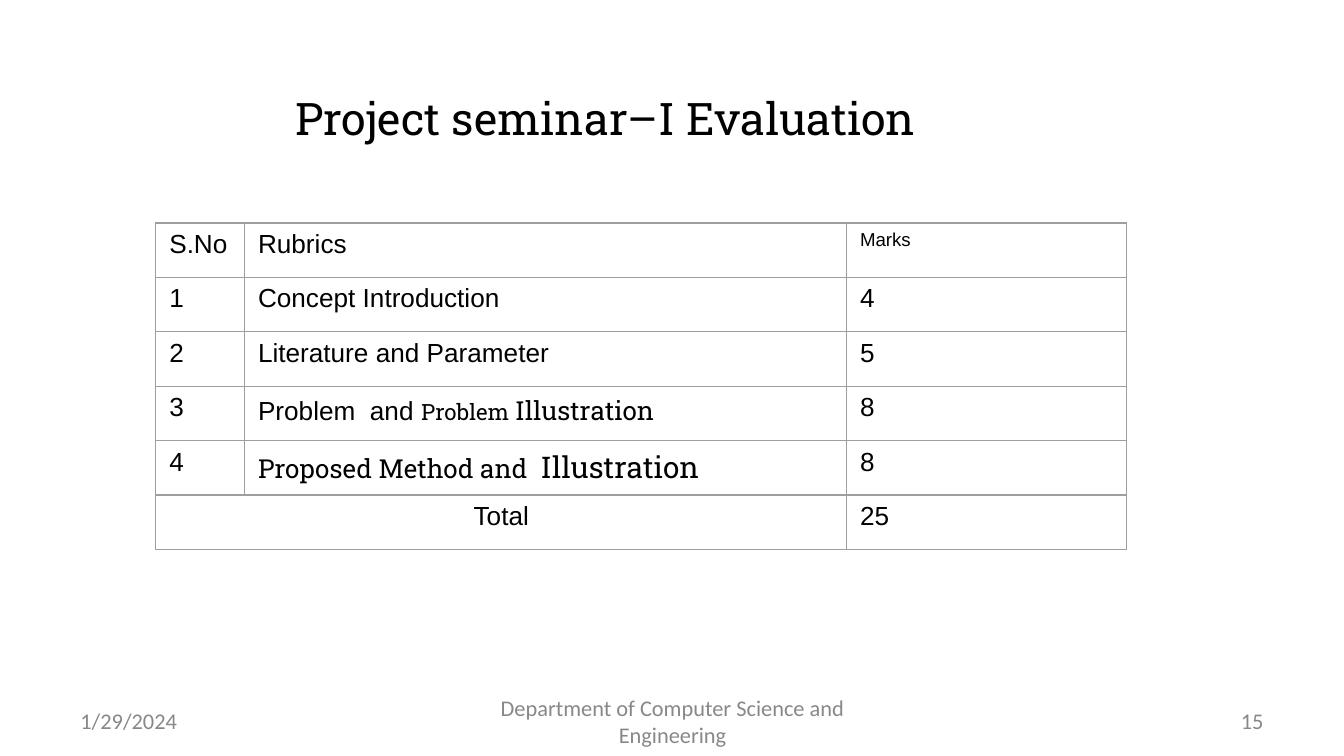
from lxml import etree
from pptx import Presentation
from pptx.dml.color import RGBColor
from pptx.enum.text import MSO_ANCHOR, PP_ALIGN as Align
from pptx.oxml.ns import qn
from pptx.util import Inches, Pt

COLORS = {"text": "000000", "footer": "888888", "border": "9E9E9E"}
SANS, SLAB, FOOTER_FONT = "Arial", "Roboto Slab", "Calibri"


def write_runs(frame, runs, color, align=Align.LEFT):
    """Fill the first paragraph with (text, size, font) runs."""
    paragraph = frame.paragraphs[0]
    paragraph.alignment = align
    for text, size, font in runs:
        run = paragraph.add_run()
        run.text = text
        run.font.size = Pt(size)
        run.font.name = font
        run.font.color.rgb = RGBColor.from_string(COLORS[color])


def add_borders(cell):
    """Draw a thin line on all four sides of a cell."""
    properties = cell._tc.get_or_add_tcPr()
    for index, side in enumerate(("lnL", "lnR", "lnT", "lnB")):
        line = etree.Element(qn(f"a:{side}"), w=str(Pt(0.75)))
        fill = etree.SubElement(line, qn("a:solidFill"))
        etree.SubElement(fill, qn("a:srgbClr"), val=COLORS["border"])
        properties.insert(index, line)


# Widescreen 16:9 slide
presentation = Presentation()
presentation.slide_width = Inches(10)
presentation.slide_height = Inches(10) * 9 // 16
slide = presentation.slides.add_slide(presentation.slide_layouts[5])

# Title
title = slide.shapes.title
title.left, title.top = Inches(1.16), Inches(0.53)
title.width, title.height = Inches(6.69), Inches(0.69)
title.text_frame.vertical_anchor = MSO_ANCHOR.MIDDLE
write_runs(title.text_frame, [("Project seminar–I Evaluation", 24, SLAB)],
           "text", Align.CENTER)

# Rubrics table: a plain string is one 14 pt sans run
rows = [
    ["S.No", "Rubrics", [("Marks", 10, SANS)]],
    ["1", "Concept Introduction", "4"],
    ["2", "Literature and Parameter", "5"],
    ["3", [("Problem  and ", 14, SANS), ("Problem ", 12, SLAB),
           ("Illustration", 14, SLAB)], "8"],
    ["4", [("Proposed Method and  ", 14, SLAB),
           ("Illustration", 16, SLAB)], "8"],
    ["Total", None, "25"],
]
column_widths = [0.66, 4.48, 2.08]
table = slide.shapes.add_table(len(rows), len(column_widths), Inches(1.16), Inches(1.66),
                               Inches(7.22), Inches(2.43)).table
table.first_row = table.horz_banding = False
for column, width in zip(table.columns, column_widths):
    column.width = Inches(width)
total_row = len(rows) - 1
table.cell(total_row, 0).merge(table.cell(total_row, 1))

for row_index, row in enumerate(rows):
    for column_index, content in enumerate(row):
        cell = table.cell(row_index, column_index)
        cell.fill.background()
        add_borders(cell)
        if content is None:
            continue
        runs = [(content, 14, SANS)] if isinstance(content, str) else content
        align = Align.CENTER if content == "Total" else Align.LEFT
        write_runs(cell.text_frame, runs, "text", align)

# Footer: date, department, slide number
footer_top = presentation.slide_height - Inches(0.41)
footers = [
    ("1/29/2024", 0.5, 2.33, Align.LEFT),
    ("Department of Computer Science and Engineering", 3.42, 3.17, Align.CENTER),
    ("15", 7.17, 2.33, Align.RIGHT),
]
for text, left, width, align in footers:
    box = slide.shapes.add_textbox(Inches(left), footer_top, Inches(width), Inches(0.3))
    box.text_frame.word_wrap = True
    box.text_frame.vertical_anchor = MSO_ANCHOR.MIDDLE
    write_runs(box.text_frame, [(text, 12, FOOTER_FONT)], "footer", align)

presentation.save("out.pptx")
